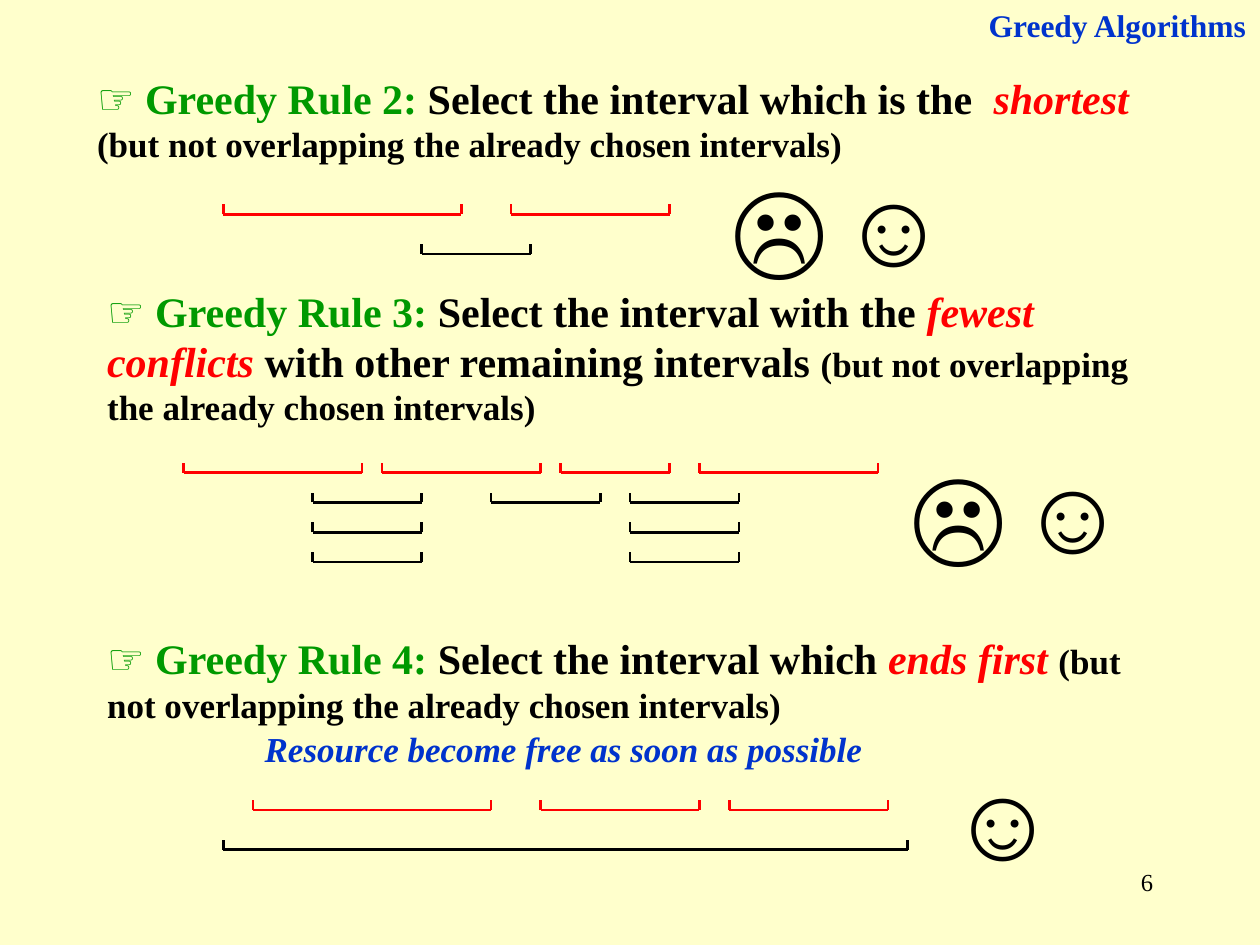
from dataclasses import dataclass

from lxml.etree import SubElement
from pptx import Presentation
from pptx.dml.color import RGBColor
from pptx.enum.shapes import MSO_CONNECTOR
from pptx.enum.text import MSO_ANCHOR, MSO_AUTO_SIZE, PP_ALIGN
from pptx.oxml.ns import qn
from pptx.util import Cm, Inches, Pt


@dataclass(frozen=True)
class Theme:
    """Colours, fonts and type sizes of the deck."""
    paper: str = "FFFFCC"
    ink: str = "000000"
    green: str = "009900"
    red: str = "FF0000"
    blue: str = "0033CC"
    serif: str = "Times New Roman"
    symbol: str = "Arial"
    rule: int = 24
    detail: int = 20
    header: int = 18
    number: int = 14
    face: int = 60
    line: float = 1.5


THEME = Theme()
GRID_LEFT, GRID_STEP = 3.7, 0.2
DETAIL = "(but not overlapping the already chosen intervals)"

RULES = [
    ((0.67, 0.52, 8.43, 0.84), 2, [
        (" Select the interval which is the  ", "plain"),
        ("shortest ", "key"), (DETAIL, "detail")]),
    ((0.75, 2.21, 8.43, 1.24), 3, [
        (" Select the interval with the ", "plain"), ("fewest conflicts", "key"),
        (" with other remaining intervals ", "plain"), (DETAIL, "detail")]),
    ((0.75, 4.97, 8.43, 0.84), 4, [
        (" Select the interval which ", "plain"),
        ("ends first ", "key"), (DETAIL, "detail")]),
]

DIAGRAMS = [
    (4.32, {0: [(4, 28), (33, 49)], 4: [(24, 35)]}),
    (9.53, {0: [(0, 18), (20, 36), (38, 49), (52, 70)],
            3: [(13, 24), (31, 42), (45, 56)],
            6: [(13, 24), (45, 56)],
            9: [(13, 24), (45, 56)]}),
    (16.33, {0: [(7, 31), (36, 52), (55, 71)], 4: [(4, 73)]}),
]

FACES = [("☹", 5.71, 1.23), ("☺", 6.57, 1.23), ("☹", 7.13, 3.51),
         ("☺", 7.99, 3.51), ("☺", 7.44, 5.95)]


def style(span, size, color, font=THEME.serif, bold=False, italic=False):
    """Format one run."""
    span.font.name = font
    span.font.size = Pt(size)
    span.font.bold = bold
    span.font.italic = italic
    span.font.color.rgb = RGBColor.from_string(color)


def place(box, area, anchor=MSO_ANCHOR.TOP):
    """Put a text shape at its area and return its text frame."""
    box.left, box.top, box.width, box.height = map(Inches, area)
    frame = box.text_frame
    frame.word_wrap = True
    frame.auto_size = MSO_AUTO_SIZE.NONE
    frame.vertical_anchor = anchor
    return frame


def plain_paragraph(para, align=PP_ALIGN.LEFT, before=0):
    """Give a paragraph no bullet, no indent and the wanted spacing."""
    para.alignment = align
    para.space_before = Pt(before)
    properties = para._p.get_or_add_pPr()
    properties.set("marL", "0")
    properties.set("indent", "0")
    SubElement(properties, qn("a:buNone"))


def write(box, area, text, size, color, align=PP_ALIGN.LEFT, before=0, **font):
    """Fill a text shape with one uniformly formatted line."""
    frame = place(box, area)
    frame.text = text
    para = frame.paragraphs[0]
    plain_paragraph(para, align, before)
    style(para.runs[0], size, color, **font)


def add_rule(box, area, number, parts):
    """Write one greedy rule with its pointer, label and wording."""
    looks = {
        "plain": dict(size=THEME.rule, color=THEME.ink),
        "key": dict(size=THEME.rule, color=THEME.red, italic=True),
        "detail": dict(size=THEME.detail, color=THEME.ink),
        "label": dict(size=THEME.rule, color=THEME.green),
        "pointer": dict(size=THEME.rule, color=THEME.green, font=THEME.symbol),
    }
    para = place(box, area, MSO_ANCHOR.MIDDLE).paragraphs[0]
    plain_paragraph(para)
    label = [("☞", "pointer"), (f" Greedy Rule {number}:", "label")]
    for text, look in label + parts:
        span = para.add_run()
        span.text = text
        style(span, bold=True, **looks[look])


def add_interval(group, start, end, top, row, color):
    """Draw an interval as a base line with a tick at each end."""
    for x1, y1, x2, y2 in ((start, row, end, row),
                           (start, row, start, row - 1),
                           (end, row, end, row - 1)):
        line = group.shapes.add_connector(
            MSO_CONNECTOR.STRAIGHT,
            Cm(GRID_LEFT + x1 * GRID_STEP), Cm(top + y1 * GRID_STEP),
            Cm(GRID_LEFT + x2 * GRID_STEP), Cm(top + y2 * GRID_STEP))
        line.line.color.rgb = RGBColor.from_string(color)
        line.line.width = Pt(THEME.line)
        SubElement(line._element.spPr, qn("a:effectLst"))


def add_diagram(page, top, rows):
    """Draw a group of intervals with the best choice in the first row."""
    group = page.shapes.add_group_shape()
    for row, intervals in rows.items():
        color = THEME.ink if row else THEME.red
        for start, end in intervals:
            add_interval(group, start, end, top, row, color)


def add_text(page, area, *content, **options):
    """Add a text box with one line."""
    write(page.shapes.add_textbox(0, 0, 0, 0), area, *content, **options)


def build_page(deck):
    """Build the page of greedy rules."""
    page = deck.slides.add_slide(deck.slide_layouts.get_by_name("Comparison"))
    page.background.fill.solid()
    page.background.fill.fore_color.rgb = RGBColor.from_string(THEME.paper)
    title, *bodies = page.placeholders
    write(title, (7.52, 0, 2.47, 0.4), "Greedy Algorithms", THEME.header,
          THEME.blue, align=PP_ALIGN.RIGHT, before=11.2, bold=True)
    for body, rule in zip(bodies, RULES):
        add_rule(body, *rule)
    write(bodies[-1], (2, 5.72, 5.2, 0.44),
          "Resource become free as soon as possible", THEME.detail,
          THEME.blue, bold=True, italic=True)
    for top, rows in DIAGRAMS:
        add_diagram(page, top, rows)
    for face, left, top in FACES:
        add_text(page, (left, top, 1.1, 1.1), face, THEME.face, THEME.ink,
                 before=37.5, font=THEME.symbol)
    add_text(page, (7.17, 6.83, 2.08, 0.5), "6", THEME.number, THEME.ink,
             align=PP_ALIGN.RIGHT)


def main():
    """Create and save the deck."""
    deck = Presentation()
    deck.slide_width, deck.slide_height = Inches(10), Inches(7.5)
    build_page(deck)
    deck.save("out.pptx")


if __name__ == "__main__":
    main()
